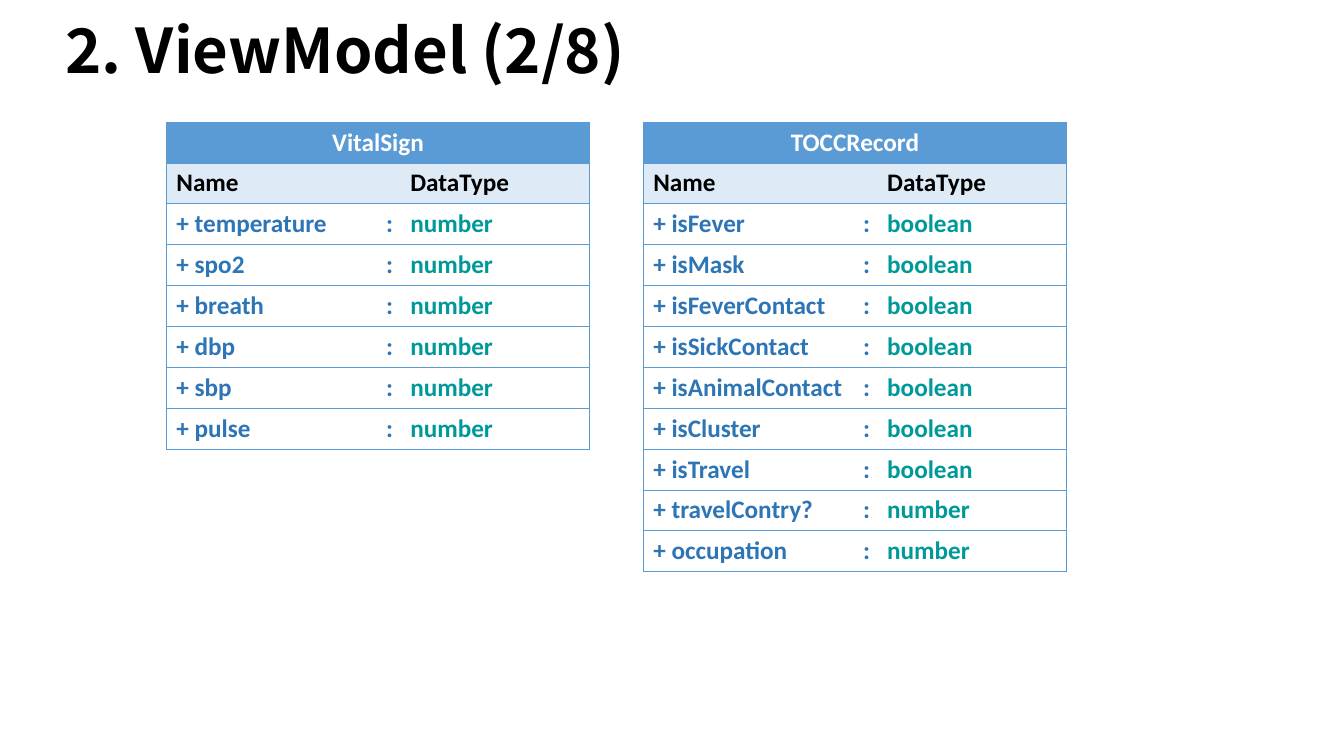
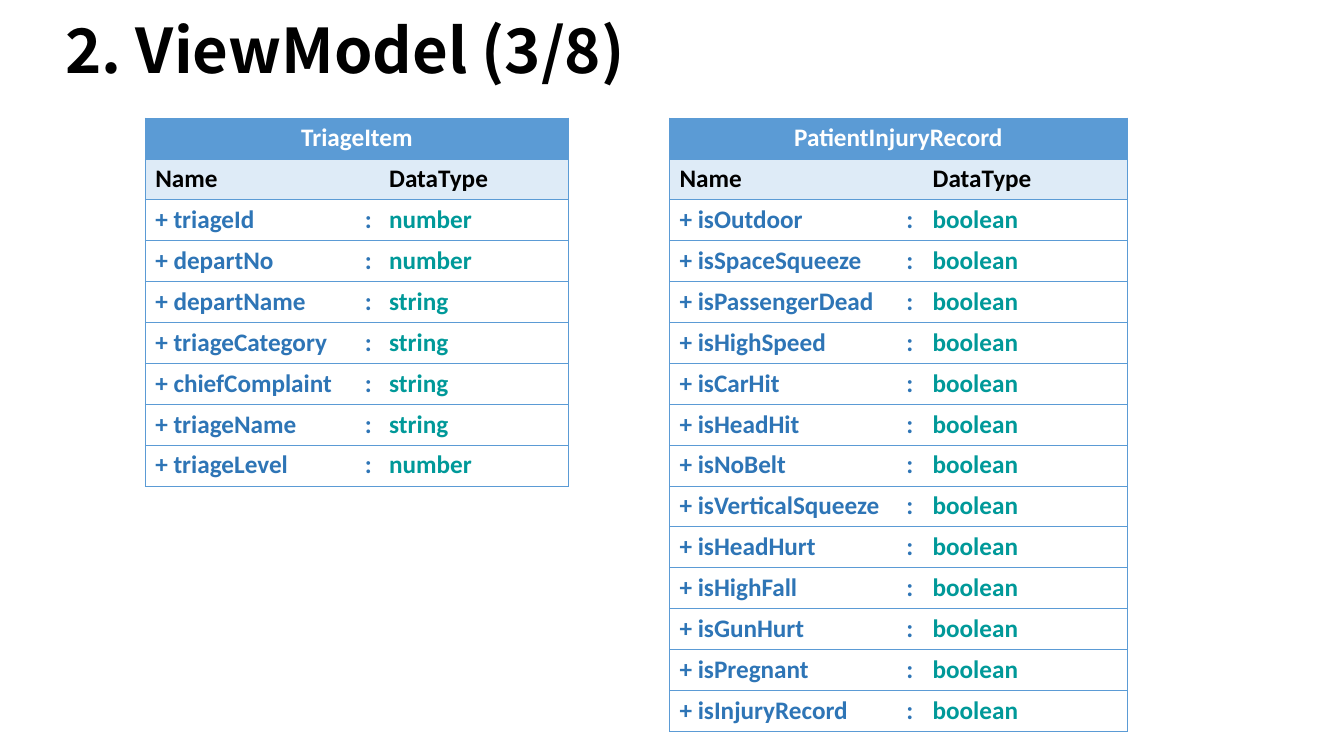
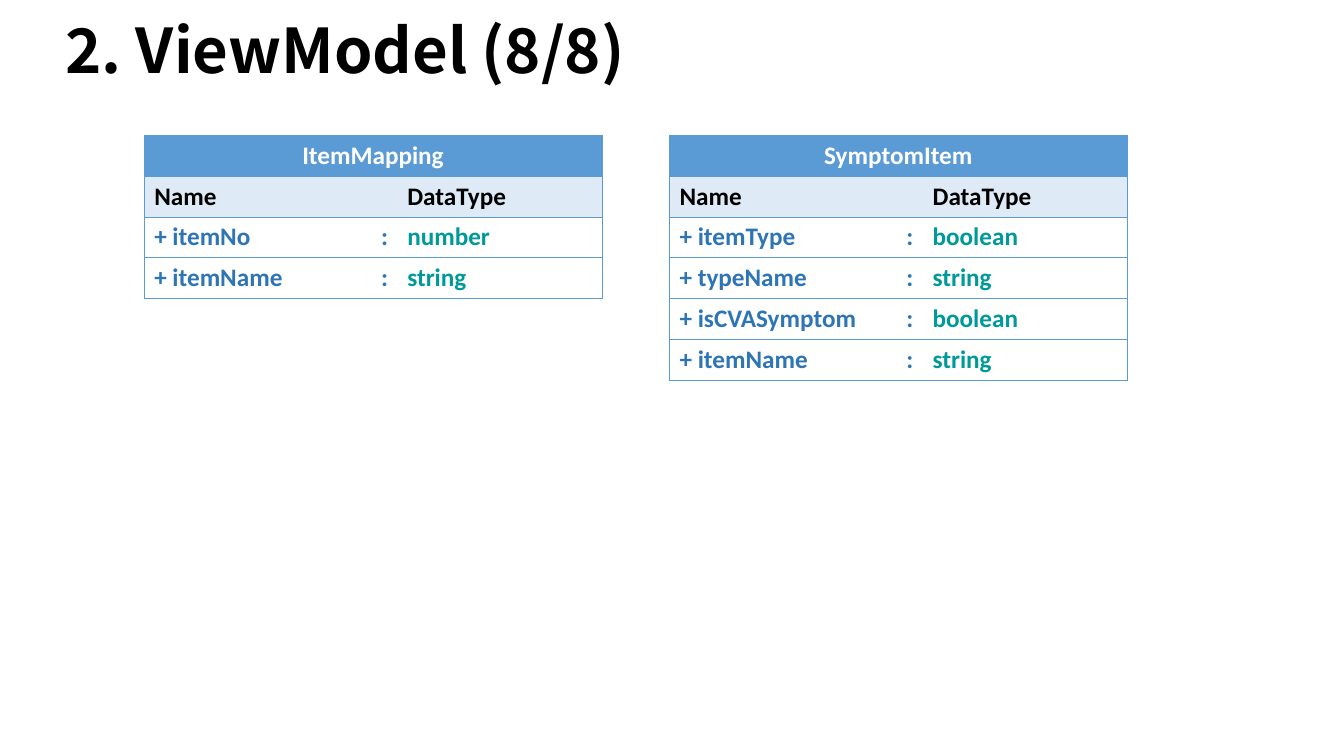
from pptx import Presentation
from pptx.dml.color import RGBColor
from pptx.enum.text import MSO_ANCHOR, MSO_AUTO_SIZE, PP_ALIGN
from pptx.util import Inches, Pt
from lxml.etree import SubElement
from pptx.oxml import parse_xml
from pptx.oxml.ns import nsdecls, qn

BLACK = RGBColor(0x00, 0x00, 0x00)
WHITE = RGBColor(0xFF, 0xFF, 0xFF)
BLUE = RGBColor(0x5B, 0x9B, 0xD5)
PALE_BLUE = RGBColor(0xDE, 0xEB, 0xF7)
NAME_BLUE = RGBColor(0x2E, 0x75, 0xB6)
TYPE_GREEN = RGBColor(0x00, 0x99, 0x99)

TITLE_FONT, TABLE_FONT = "Noto Sans CJK SC", "Calibri"
ROW_HEIGHT = 0.4
NARROW = (2.08, 0.24, 1.88)
WIDE = (2.25, 0.26, 2.03)

# Each slide: page, top of its tables, tables as (name, left, column widths, fields by type)
SLIDES = [
    (2, 1.21, [
        ("VitalSign", 1.65, NARROW, [
            ("number", "temperature spo2 breath dbp sbp pulse")]),
        ("TOCCRecord", 6.38, NARROW, [
            ("boolean", "isFever isMask isFeverContact isSickContact "
                        "isAnimalContact isCluster isTravel"),
            ("number", "travelContry? occupation")]),
    ]),
    (3, 1.17, [
        ("TriageItem", 1.44, NARROW, [
            ("number", "triageId departNo"),
            ("string", "departName triageCategory chiefComplaint triageName"),
            ("number", "triageLevel")]),
        ("PatientInjuryRecord", 6.64, WIDE, [
            ("boolean", "isOutdoor isSpaceSqueeze isPassengerDead isHighSpeed "
                        "isCarHit isHeadHit isNoBelt isVerticalSqueeze isHeadHurt "
                        "isHighFall isGunHurt isPregnant isInjuryRecord")]),
    ]),
    (8, 1.34, [
        ("ItemMapping", 1.43, WIDE, [
            ("number", "itemNo"),
            ("string", "itemName")]),
        ("SymptomItem", 6.64, WIDE, [
            ("boolean", "itemType"),
            ("string", "typeName"),
            ("boolean", "isCVASymptom"),
            ("string", "itemName")]),
    ]),
]


def write(tf, text, font=TABLE_FONT, size=18, color=BLACK, align=PP_ALIGN.LEFT, spacing=None):
    p = tf.paragraphs[0]
    p.alignment = align
    if spacing:
        p.line_spacing = spacing
    r = p.add_run()
    r.text = text
    r.font.name, r.font.size, r.font.bold = font, Pt(size), True
    r.font.color.rgb = color


def set_borders(cell, visible):
    """Draw the sides named in visible and clear the others."""
    tcPr = cell._tc.get_or_add_tcPr()
    for i, side in enumerate("LRTB"):
        ln = parse_xml(f'<a:ln{side} {nsdecls("a")} w="{Pt(0.5)}"/>')
        if side in visible:
            fill = SubElement(ln, qn("a:solidFill"))
            SubElement(fill, qn("a:srgbClr")).set("val", str(BLUE))
        else:
            SubElement(ln, qn("a:noFill"))
        tcPr.insert(i, ln)


def add_title(s, text):
    sp = s.shapes.title
    sp.left, sp.top, sp.width, sp.height = map(Inches, (0.55, 0.14, 12.17, 0.78))
    tf = sp.text_frame
    tf.auto_size = MSO_AUTO_SIZE.NONE
    tf.vertical_anchor = MSO_ANCHOR.MIDDLE
    write(tf, text, font=TITLE_FONT, size=44, spacing=0.9)


def add_model_table(s, name, left, top, widths, groups):
    # Header, column names, then one row per field
    rows = [(name, "", ""), ("Name", "", "DataType")]
    rows += [("+ " + field, ":", kind) for kind, fields in groups for field in fields.split()]
    tbl = s.shapes.add_table(len(rows), len(widths), Inches(left), Inches(top),
                             Inches(sum(widths)), Inches(ROW_HEIGHT * len(rows))).table
    tbl.first_row = tbl.horz_banding = False
    for col, width in zip(tbl.columns, widths):
        col.width = Inches(width)
    tbl.cell(0, 0).merge(tbl.cell(0, 2))

    for i, row in enumerate(rows):
        for j, text in enumerate(row):
            cell = tbl.cell(i, j)
            if i < 2:
                cell.fill.solid()
                cell.fill.fore_color.rgb = (BLUE, PALE_BLUE)[i]
                color = (WHITE, BLACK)[i]
            else:
                cell.fill.background()
                color = TYPE_GREEN if j == 2 else NAME_BLUE
            if text:
                write(cell.text_frame, text, color=color,
                      align=PP_ALIGN.CENTER if i == 0 else PP_ALIGN.LEFT)
            set_borders(cell, "LRTB" if i == 0 else ("LTB", "TB", "RTB")[j])


def main():
    prs = Presentation()
    prs.slide_width, prs.slide_height = Inches(13.33), Inches(7.5)
    for page, top, tables in SLIDES:
        s = prs.slides.add_slide(prs.slide_layouts[5])
        add_title(s, f"2. ViewModel ({page}/8)")
        for name, left, widths, groups in tables:
            add_model_table(s, name, left, top, widths, groups)
    prs.save("out.pptx")


if __name__ == "__main__":
    main()
